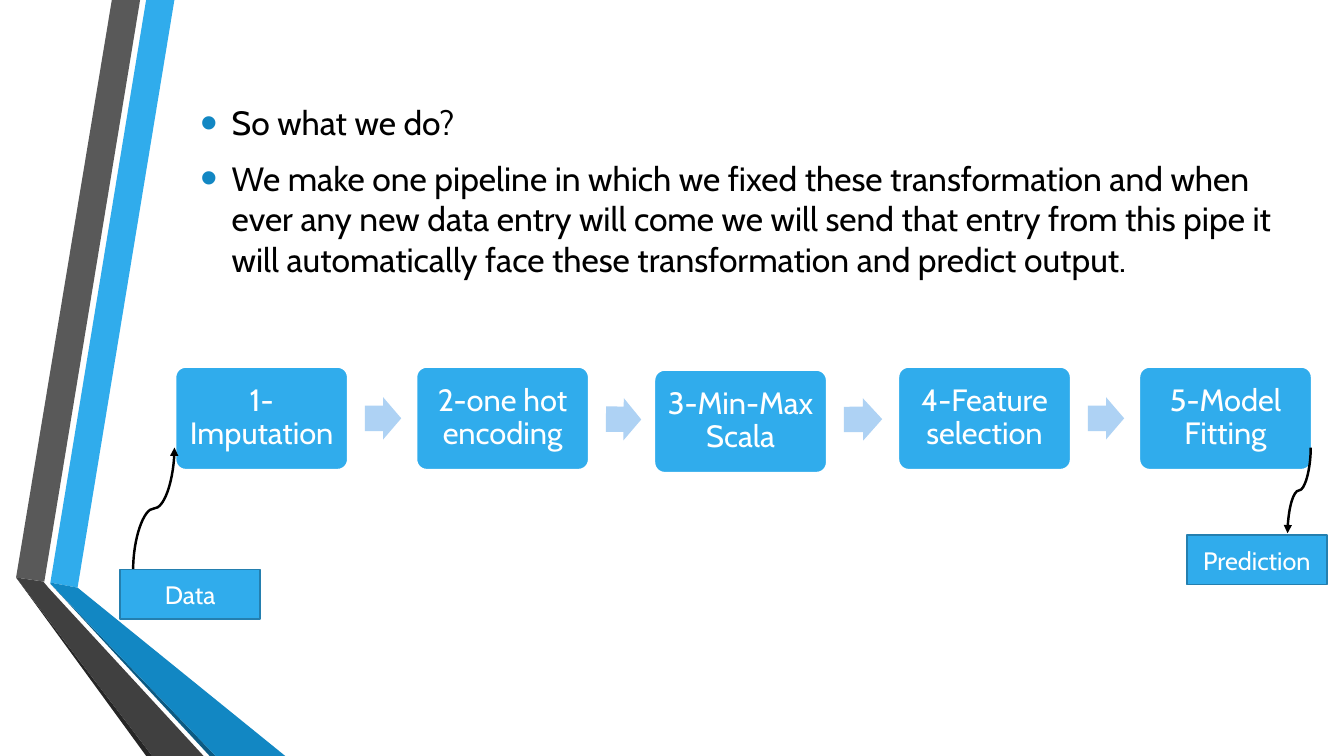
from lxml.etree import SubElement
from pptx import Presentation
from pptx.dml.color import RGBColor
from pptx.enum.shapes import MSO_CONNECTOR, MSO_SHAPE as SHAPE
from pptx.enum.text import MSO_ANCHOR, PP_ALIGN
from pptx.oxml.ns import qn
from pptx.util import Inches, Pt

FONT = "Cabin"
BLACK = RGBColor(0x00, 0x00, 0x00)
WHITE = RGBColor(0xFF, 0xFF, 0xFF)
SKY = RGBColor(0x30, 0xAC, 0xEC)
EDGE = RGBColor(0x24, 0x7F, 0xAF)
PALE = RGBColor(0xAE, 0xD2, 0xF4)
BULLET = RGBColor(0x12, 0x87, 0xC3)
NAVY = RGBColor(0x0C, 0x5A, 0x82)
GREY = RGBColor(0x59, 0x59, 0x59)
DARK = RGBColor(0x40, 0x40, 0x40)
COAL = RGBColor(0x26, 0x26, 0x26)

W, H = 13.33, 7.5
RIBBONS = [
    (SKY, [(0.5, 5.78), (0.77, 5.83), (1.73, 0), (1.45, 0)]),
    (GREY, [(1.39, 0), (1.11, 0), (0.16, 5.73), (0.44, 5.77)]),
    (COAL, [(0.16, 5.73), (1.45, H), (1.51, H)]),
    (NAVY, [(0.5, 5.79), (2.08, H), (2.14, H)]),
    (BULLET, [(0.5, 5.79), (2.14, H), (2.83, H), (0.77, 5.83), (0.5, 5.78)]),
    (DARK, [(2.02, H), (0.48, 5.83), (0.43, 5.77), (0.16, 5.73), (1.51, H)]),
]
BODY = [
    "So what we do?",
    "We make one pipeline in which we fixed these transformation and when ever "
    "any new data entry will come we will send that entry from this pipe it "
    "will automatically face these transformation and predict output.",
]
STEPS = ["1-Imputation", "2-one hot encoding", "3-Min-Max Scala",
         "4-Feature selection", "5-Model Fitting"]
STEP_X, STEP_Y, STEP_W, STEP_H, PITCH = 1.74, 3.64, 1.71, 1.02, 2.39
STEP_INSET = 0.08
NUDGE = {2: (-0.03, 0.03)}
ARROWS = [(0.36, 0), (0.35, 0.6), (0.38, -0.6), (0.36, 0)]
ARROW_GAP, ARROW_H = 0.17, 0.42
ENDS = [("Data", 1.19, 5.65), ("Prediction", 11.77, 5.31)]
END_W, END_H = 1.39, 0.49
CURVES = [((1.32, 5.65), (1.73, 4.44)), ((13, 4.44), (12.77, 5.29))]


def write(p, text, size, color):
    r = p.add_run()
    r.text = text
    for name, value in {"name": FONT, "size": Pt(size)}.items():
        setattr(r.font, name, value)
    r.font.color.rgb = color


def paint(s, fill, line=None):
    s.shadow.inherit = False
    s.fill.solid()
    s.fill.fore_color.rgb = fill
    if line is None:
        s.line.fill.background()
    else:
        s.line.color.rgb = line
        s.line.width = Pt(1.25)


def add_ribbon(shapes, color, points):
    pts = [(Inches(x), Inches(y)) for x, y in points]
    builder = shapes.build_freeform(*pts[0], scale=1.0)
    builder.add_line_segments(pts[1:], close=True)
    paint(builder.convert_to_shape(), color)


def add_shape(shapes, kind, box, fill, line=None, adjust=()):
    s = shapes.add_shape(kind, *map(Inches, box))
    for i, value in enumerate(adjust):
        s.adjustments[i] = value
    paint(s, fill, line)
    return s


def label(s, text, size, spacing=1.0, inset=0.1):
    tf = s.text_frame
    tf.word_wrap = True
    tf.vertical_anchor = MSO_ANCHOR.MIDDLE
    tf.margin_left = tf.margin_right = Inches(inset)
    p = tf.paragraphs[0]
    p.alignment = PP_ALIGN.CENTER
    p.line_spacing = spacing
    write(p, text, size, WHITE)


def add_body(shapes):
    tf = shapes.add_textbox(*map(Inches, (1.89, 0.18, 10.96, 3.42))).text_frame
    tf.word_wrap = True
    tf.vertical_anchor = MSO_ANCHOR.MIDDLE
    for i, text in enumerate(BODY):
        p = tf.add_paragraph() if i else tf.paragraphs[0]
        p.space_before, p.space_after = Pt(4.8), Pt(6)
        pPr = p._p.get_or_add_pPr()
        pPr.set("marL", str(Inches(0.31)))
        pPr.set("indent", str(-Inches(0.31)))
        color = SubElement(pPr, qn("a:buClr"))
        SubElement(color, qn("a:srgbClr"), val=str(BULLET))
        SubElement(pPr, qn("a:buSzPct"), val="145000")
        SubElement(pPr, qn("a:buFont"), typeface="Arial")
        SubElement(pPr, qn("a:buChar"), char="•")
        write(p, text, 24, BLACK)


def add_curve(shapes, start, end):
    cx, cy = ((a + b) / 2 for a, b in zip(start, end))
    turned = [Inches(v) for x, y in (start, end)
              for v in (cx + y - cy, cy - x + cx)]
    c = shapes.add_connector(MSO_CONNECTOR.CURVE, *turned)
    c.line.color.rgb = BLACK
    c.line.width = Pt(1.75)
    spPr = c._element.spPr
    spPr.find(qn("a:xfrm")).set("rot", str(90 * 60000))
    SubElement(spPr.find(qn("a:ln")), qn("a:tailEnd"), type="triangle")
    SubElement(spPr, qn("a:effectLst"))


def main():
    """Build the pipeline slide."""
    prs = Presentation()
    prs.slide_width, prs.slide_height = Inches(W), Inches(H)
    shapes = prs.slides.add_slide(prs.slide_layouts[6]).shapes
    for color, points in RIBBONS:
        add_ribbon(shapes, color, points)
    add_body(shapes)
    for i, text in enumerate(STEPS):
        dx, dy = NUDGE.get(i, (0, 0))
        x, y = STEP_X + i * PITCH + dx, STEP_Y + dy
        s = add_shape(shapes, SHAPE.ROUNDED_RECTANGLE, (x, y, STEP_W, STEP_H),
                      SKY, WHITE, [0.1])
        label(s, text, 22, 0.9, STEP_INSET)
        if i < len(ARROWS):
            width, angle = ARROWS[i]
            top = STEP_Y + (STEP_H - ARROW_H) / 2 + abs(angle) / 60
            box = (x + STEP_W + ARROW_GAP, top, width, ARROW_H)
            s = add_shape(shapes, SHAPE.RIGHT_ARROW, box, PALE, adjust=[0.6, 0.5])
            s.rotation = angle
    for (text, x, y), (start, end) in zip(ENDS, CURVES):
        add_curve(shapes, start, end)
        s = add_shape(shapes, SHAPE.RECTANGLE, (x, y, END_W, END_H), SKY, EDGE)
        label(s, text, 18)
    prs.save("out.pptx")


if __name__ == "__main__":
    main()
